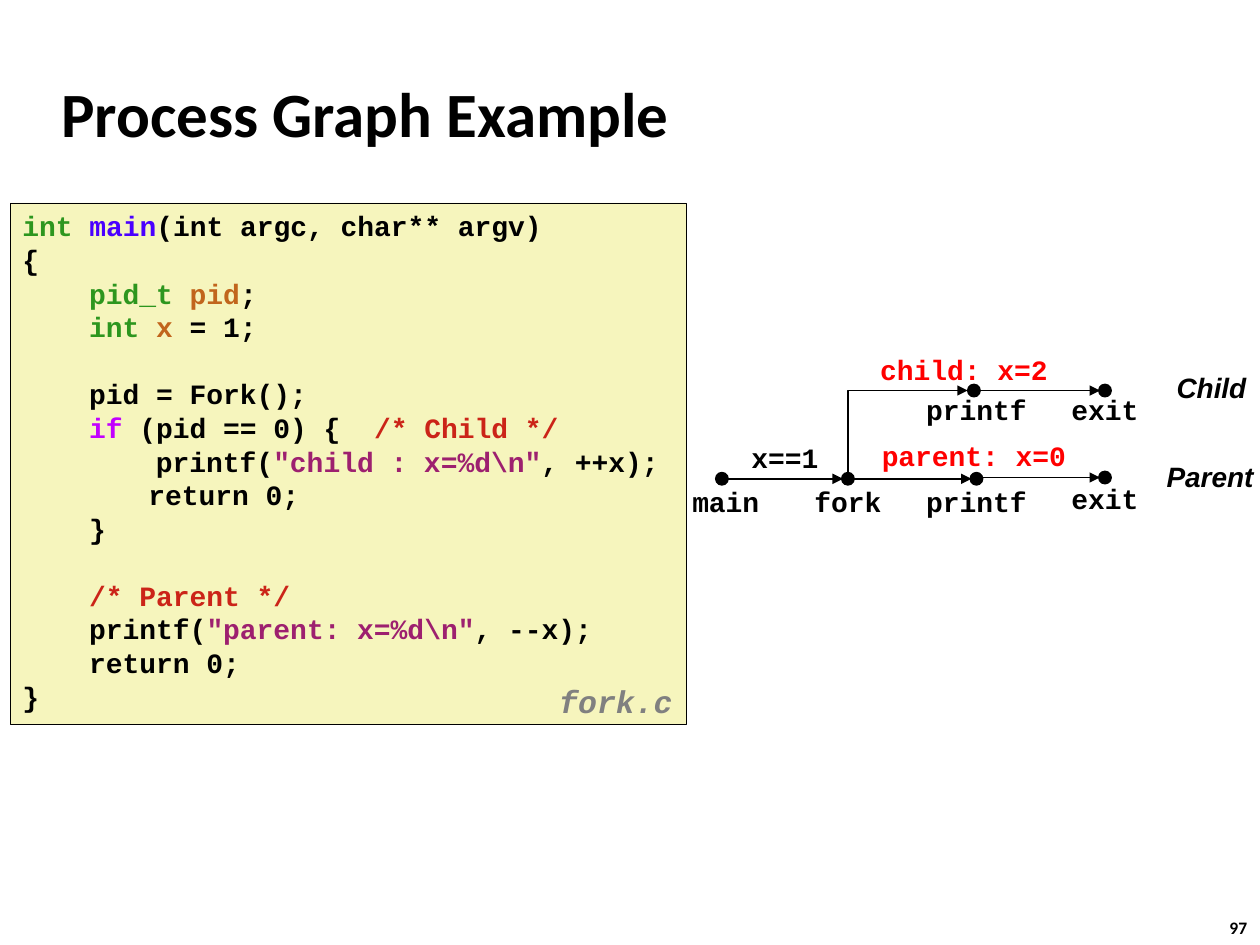
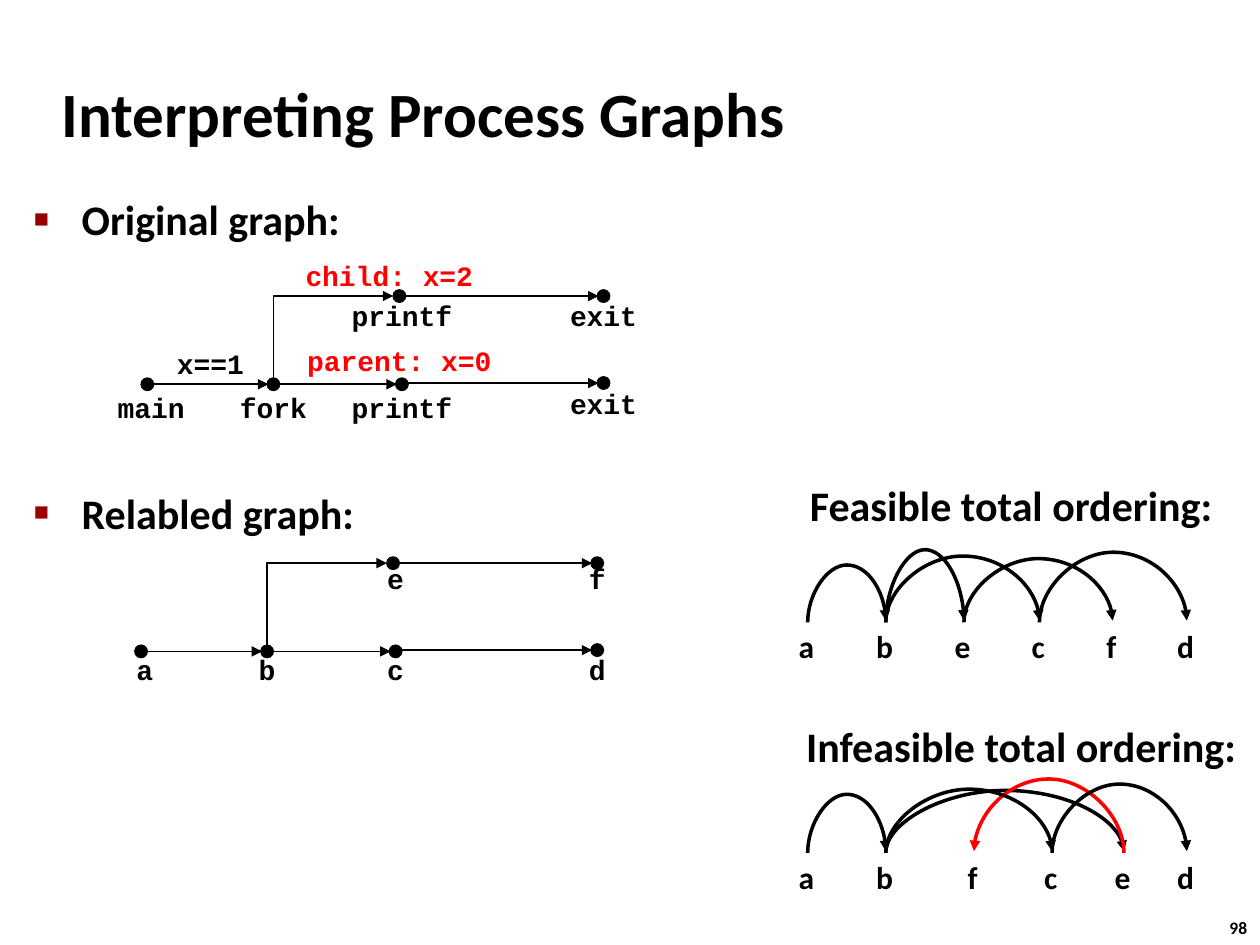
import pptx
import pptx.dml.color
import pptx.enum.shapes
import pptx.enum.text
import pptx.oxml.ns
import pptx.util
from lxml import etree

Inches = pptx.util.Inches
Pt = pptx.util.Pt
ALIGN = pptx.enum.text.PP_ALIGN
CONNECTOR = pptx.enum.shapes.MSO_CONNECTOR
SHAPE = pptx.enum.shapes.MSO_SHAPE
qn = pptx.oxml.ns.qn

BLACK, RED, GRAY = "000000", "FF0000", "808080"
CODE_FILL, BULLET_COLOR = "F6F5BD", "990000"
TYPE, FUNCTION, VARIABLE = "2D961E", "4A00FF", "C1651C"
KEYWORD, COMMENT, STRING = "C200FF", "CB2418", "9D206F"

# Text styles
TITLE = dict(name="Calibri", size=Pt(36), bold=True)
HEADING = dict(name="Calibri", size=Pt(24), bold=True)
LETTER = dict(name="Calibri", size=Pt(18), bold=True)
PAGE_NUMBER = dict(name="Calibri", size=Pt(10), bold=True)
CODE = dict(name="Courier New", size=Pt(16), bold=True)
FILE_NAME = dict(name="Courier New", size=Pt(18), bold=True, italic=True)
PROCESS_NAME = dict(name="Arial", size=Pt(16), bold=True, italic=True)

# Code lines: (indent in inches, blank line above, [(text, color), ...])
STEP = 0.53
CODE_LINES = [
    (0, False, [("int ", TYPE), ("main", FUNCTION), ("(int argc, char** argv)", BLACK)]),
    (0, False, [("{", BLACK)]),
    (STEP, False, [("pid_t ", TYPE), ("pid", VARIABLE), (";", BLACK)]),
    (STEP, False, [("int ", TYPE), ("x", VARIABLE), (" = 1;", BLACK)]),
    (STEP, True, [("pid = Fork();", BLACK)]),
    (STEP, False, [("if", KEYWORD), (" (pid == 0) {  ", BLACK), ("/* Child */", COMMENT)]),
    (2 * STEP, False, [("printf(", BLACK), ('"child : x=%d\\n"', STRING), (", ++x);", BLACK)]),
    (1, False, [("return 0;", BLACK)]),
    (STEP, False, [("}", BLACK)]),
    (STEP, True, [("/* Parent */", COMMENT)]),
    (STEP, False, [("printf(", BLACK), ('"parent: x=%d\\n"', STRING), (", --x);", BLACK)]),
    (STEP, False, [("return 0;", BLACK)]),
    (0, False, [("}", BLACK)]),
]

# Graph labels: (text, node or x offset, y offset of the label's top, color)
NAMED_LABELS = [
    ("child: x=2", 1.92, -1.05, RED),
    ("main", 0.03, 0, BLACK),
    ("fork", "fork", 0, BLACK),
    ("printf", "parent", 0, BLACK),
    ("printf", "parent", -0.73, BLACK),
    ("x==1", 0.5, -0.35, BLACK),
    ("exit", "child end", -0.73, BLACK),
    ("parent: x=0", 2, -0.37, RED),
    ("exit", "parent end", -0.03, BLACK),
]
LETTER_LABELS = [
    ("a", 0.03, -0.04, BLACK),
    ("b", "fork", -0.04, BLACK),
    ("c", "parent", -0.04, BLACK),
    ("d", "parent end", -0.04, BLACK),
    ("e", 2.02, -0.76, BLACK),
    ("f", "child end", -0.76, BLACK),
]

# Orderings: letter positions, then arcs as (from, to, height, color)
FEASIBLE_LETTERS = dict(a=0, b=0.62, e=1.24, c=1.84, f=2.42, d=3.01)
FEASIBLE_ARCS = [("a", "b", 0.45, BLACK), ("b", "e", 0.57, BLACK), ("e", "f", 0.5, BLACK),
                 ("b", "c", 0.52, BLACK), ("c", "d", 0.55, BLACK)]
INFEASIBLE_LETTERS = dict(a=0, b=0.62, f=1.32, c=1.94, e=2.51, d=3.01)
INFEASIBLE_ARCS = [("a", "b", 0.46, BLACK), ("b", "e", 0.49, BLACK), ("e", "f", 0.58, RED),
                   ("b", "c", 0.5, BLACK), ("c", "d", 0.54, BLACK)]


def color(hex_string):
    return pptx.dml.color.RGBColor.from_string(hex_string)


def add_run(paragraph, text, style, hex_color=BLACK):
    run = paragraph.add_run()
    run.text = text
    for attribute, value in style.items():
        setattr(run.font, attribute, value)
    run.font.color.rgb = color(hex_color)


def add_text(slide, box, text, style, hex_color=BLACK, align=ALIGN.LEFT):
    shape = slide.shapes.add_textbox(*map(Inches, box))
    shape.text_frame.word_wrap = False
    paragraph = shape.text_frame.paragraphs[0]
    paragraph.alignment = align
    add_run(paragraph, text, style, hex_color)
    return shape


def add_centered(slide, center, top, width, text, style, hex_color=BLACK):
    box = (center - width / 2, top, width, 0.37)
    add_text(slide, box, text, style, hex_color, ALIGN.CENTER)


def paint(shape, fill, line_width):
    shape.shadow.inherit = False
    shape.fill.solid()
    shape.fill.fore_color.rgb = color(fill)
    shape.line.color.rgb = color(BLACK)
    shape.line.width = Pt(line_width)


def add_arrow(slide, kind, start, end, width, hex_color=BLACK):
    connector = slide.shapes.add_connector(kind, *map(Inches, start + end))
    connector.line.color.rgb = color(hex_color)
    connector.line.width = Pt(width)
    properties = connector._element.spPr
    etree.SubElement(properties.find(qn("a:ln")), qn("a:tailEnd"), type="triangle")
    etree.SubElement(properties, qn("a:effectLst"))
    return connector


def add_rising_arrow(slide, kind, preset, start, end, width, hex_color=BLACK, height=None):
    """Arrow that leaves its start upwards; an arc also gets its height."""
    connector = add_arrow(slide, kind, start, end, width, hex_color)
    rise, run = start[1] - end[1], abs(end[0] - start[0])
    connector.left = Inches((start[0] + end[0] - rise) / 2)
    connector.top = Inches((start[1] + end[1] - run) / 2)
    connector.width, connector.height = Inches(rise), Inches(run)
    properties = connector._element.spPr
    frame = properties.find(qn("a:xfrm"))
    rightwards = end[0] > start[0]
    frame.set("rot", "5400000" if rightwards else "16200000")
    frame.set("flipH", "1" if rightwards else "0")
    frame.set("flipV", "1")
    geometry = properties.find(qn("a:prstGeom"))
    geometry.set("prst", preset)
    if height:
        adjustments = geometry.find(qn("a:avLst"))
        if adjustments is None:
            adjustments = etree.SubElement(geometry, qn("a:avLst"))
        etree.SubElement(adjustments, qn("a:gd"), name="adj1",
                         fmla=f"val {round(height / rise * 100000)}")


def start_slide(presentation, title, number):
    slide = presentation.slides.add_slide(presentation.slide_layouts[6])
    add_text(slide, (9.66, 7.23, 0.37, 0.27), str(number), PAGE_NUMBER)
    heading = add_text(slide, (0.39, 0.48, 8.3, 0.83), title, TITLE)
    heading.text_frame.word_wrap = True
    heading.text_frame.vertical_anchor = pptx.enum.text.MSO_ANCHOR.MIDDLE
    return slide


def add_code_box(slide, left, top, width, height):
    shape = slide.shapes.add_shape(SHAPE.RECTANGLE, *map(Inches, (left, top, width, height)))
    paint(shape, CODE_FILL, 0.25)
    frame = shape.text_frame
    frame.word_wrap = True
    frame.vertical_anchor = pptx.enum.text.MSO_ANCHOR.TOP
    for index, (indent, gap, pieces) in enumerate(CODE_LINES):
        paragraph = frame.add_paragraph() if index else frame.paragraphs[0]
        paragraph.alignment = ALIGN.LEFT
        paragraph._p.get_or_add_pPr().set("marL", str(Inches(indent)))
        if gap:
            paragraph.space_before = Pt(19.2)
        for text, hex_color in pieces:
            add_run(paragraph, text, CODE, hex_color)
    add_text(slide, (left + width - 1.11, top + height - 0.39, 1.17, 0.39),
             "fork.c", FILE_NAME, GRAY)


def add_process_graph(slide, left, base, length, labels, rise=0.7):
    """Fork graph whose first dot is centred on (left, base)."""
    offsets = {
        "main": (0, 0), "fork": (1, 0), "parent": (2.02, 0), "child": (2, -rise),
        "parent end": (length, -0.01), "child end": (length, -rise),
    }
    nodes = {name: (left + x, base + y) for name, (x, y) in offsets.items()}

    # Dots
    for x, y in nodes.values():
        dot = slide.shapes.add_shape(
            SHAPE.OVAL, *map(Inches, (x - 0.05, y - 0.05, 0.1, 0.1)))
        paint(dot, BLACK, 0.75)

    # Arrows
    for source, target in [("main", "fork"), ("fork", "parent"),
                           ("parent", "parent end"), ("child", "child end")]:
        y = nodes[target][1]
        add_arrow(slide, CONNECTOR.STRAIGHT, (nodes[source][0] + 0.05, y),
                  (nodes[target][0] - 0.04, y), 1)
    child_x, child_y = nodes["child"]
    add_rising_arrow(slide, CONNECTOR.ELBOW, "bentConnector2", nodes["fork"],
                     (child_x - 0.05, child_y), 1)

    # Labels
    for text, place, y, hex_color in labels:
        center = nodes[place][0] if place in nodes else left + place
        width = 0.2 + 0.134 * len(text)
        add_centered(slide, center, base + y, width, text, CODE, hex_color)


def add_ordering(slide, heading, heading_box, left, base, letters, arcs):
    """Row of letters joined by arcs; left is the middle of the first letter."""
    add_text(slide, heading_box, heading, HEADING)
    for letter, x in letters.items():
        add_centered(slide, left + x - 0.01, base - 0.01, 0.34, letter, LETTER)
    for source, target, height, hex_color in arcs:
        add_rising_arrow(slide, CONNECTOR.CURVE, "curvedConnector3",
                         (left + letters[source], base),
                         (left + letters[target], base - 0.014), 2, hex_color, height)


def add_bullets(slide, box, items):
    """Bulleted headings given as (text, points of space above)."""
    frame = slide.shapes.add_textbox(*map(Inches, box)).text_frame
    frame.word_wrap = True
    for index, (text, space) in enumerate(items):
        paragraph = frame.add_paragraph() if index else frame.paragraphs[0]
        paragraph.space_before = Pt(space)
        properties = paragraph._p.get_or_add_pPr()
        properties.set("marL", str(Inches(0.38)))
        properties.set("indent", str(-Inches(0.38)))
        bullet_color = etree.SubElement(properties, qn("a:buClr"))
        etree.SubElement(bullet_color, qn("a:srgbClr"), val=BULLET_COLOR)
        etree.SubElement(properties, qn("a:buSzPct"), val="60000")
        etree.SubElement(properties, qn("a:buFont"), typeface="Arial")
        etree.SubElement(properties, qn("a:buChar"), char="■")
        add_run(paragraph, text, HEADING)


def build_example_slide(presentation):
    slide = start_slide(presentation, "Process Graph Example", 97)
    add_code_box(slide, 0.08, 1.61, 5.37, 4.14)
    add_process_graph(slide, 5.73, 3.8, 3.04, NAMED_LABELS)
    add_text(slide, (9.16, 3.6, 0.92, 0.37), "Parent", PROCESS_NAME)
    add_text(slide, (9.24, 2.89, 0.77, 0.37), "Child", PROCESS_NAME)


def build_interpreting_slide(presentation):
    slide = start_slide(presentation, "Interpreting Process Graphs", 98)
    add_bullets(slide, (0.17, 1.49, 5.14, 4.26),
                [("Original graph:", 0), ("Relabled graph:", 138.7)])
    add_process_graph(slide, 1.17, 3.05, 3.62, NAMED_LABELS)
    add_process_graph(slide, 1.12, 5.17, 3.62, LETTER_LABELS)
    add_ordering(slide, "Feasible total ordering:", (6.33, 3.76, 3.44, 0.5),
                 6.41, 4.94, FEASIBLE_LETTERS, FEASIBLE_ARCS)
    add_ordering(slide, "Infeasible total ordering:", (6.3, 5.67, 3.67, 0.5),
                 6.41, 6.77, INFEASIBLE_LETTERS, INFEASIBLE_ARCS)


def main():
    presentation = pptx.Presentation()
    presentation.slide_width, presentation.slide_height = Inches(10), Inches(7.5)
    build_example_slide(presentation)
    build_interpreting_slide(presentation)
    presentation.save("out.pptx")


if __name__ == "__main__":
    main()
